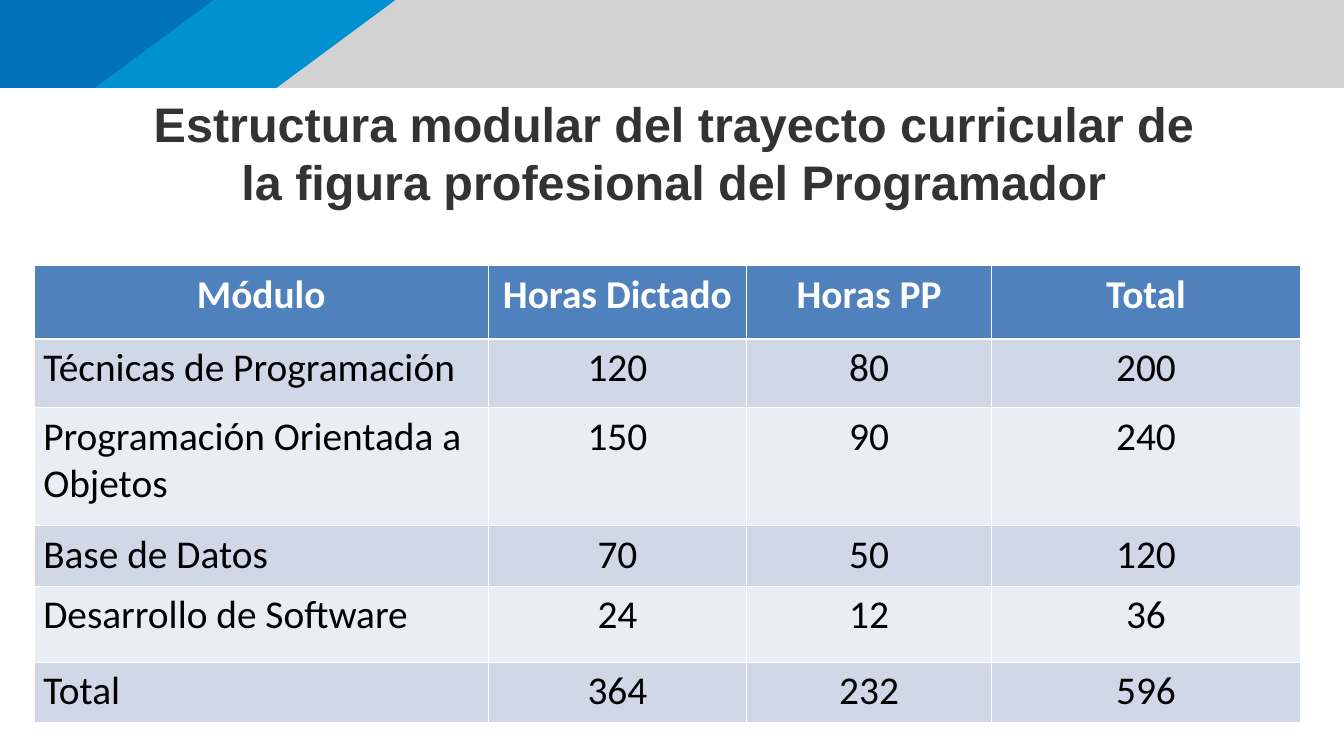
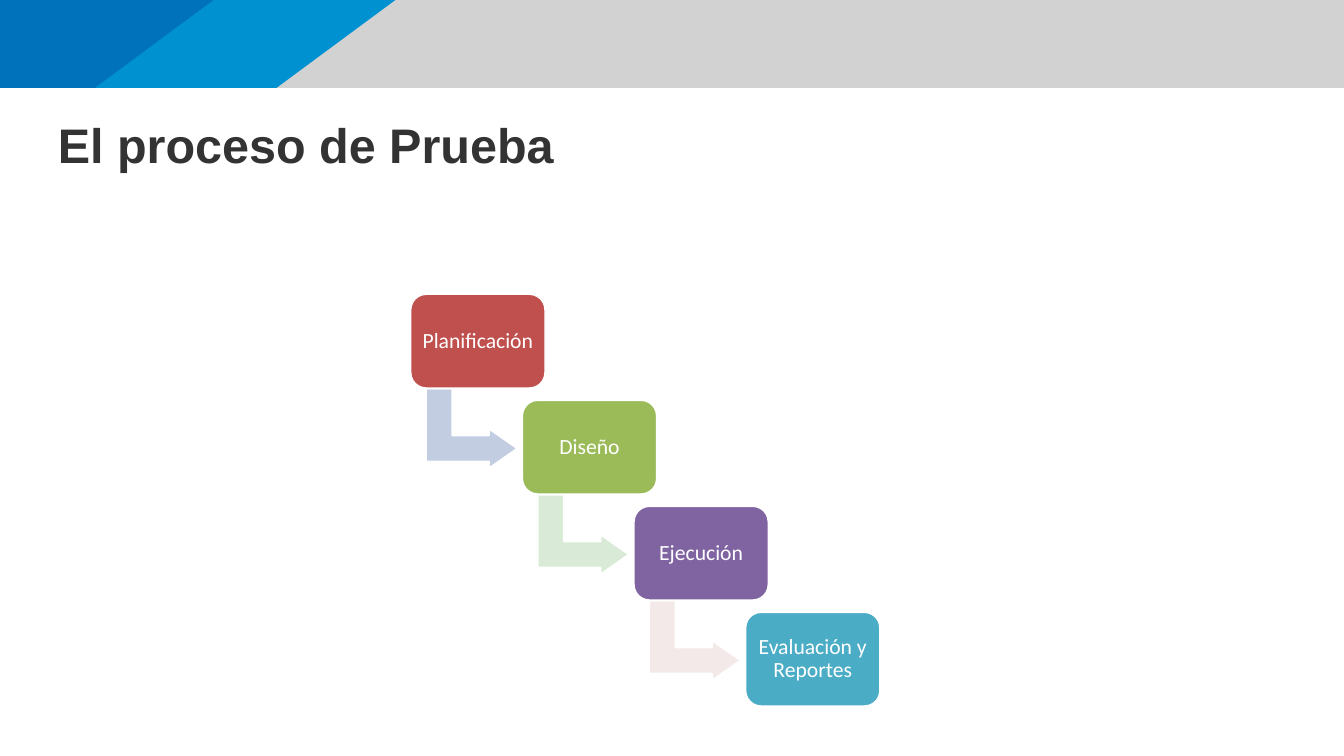
from lxml.etree import SubElement
from pptx import Presentation
from pptx.dml.color import RGBColor
from pptx.enum.shapes import MSO_SHAPE
from pptx.enum.text import MSO_ANCHOR, PP_ALIGN
from pptx.oxml.ns import qn
from pptx.util import Cm, Pt

SLIDE_WIDTH, SLIDE_HEIGHT = 48.16, 27.1
BAND_HEIGHT = 3.15
TITLE_FONT, BODY_FONT = "Arial", "Calibri"

WHITE = RGBColor(0xFF, 0xFF, 0xFF)
BLACK = RGBColor(0, 0, 0)
TITLE_GRAY = RGBColor(0x33, 0x33, 0x33)
BAND_GRAY = RGBColor(0xD2, 0xD2, 0xD3)
LIGHT_BLUE = RGBColor(0x00, 0x91, 0xD1)
DARK_BLUE = RGBColor(0x00, 0x71, 0xBB)
HEADER_BLUE = RGBColor(0x4F, 0x81, 0xBD)
ROW_DARK = RGBColor(0xD0, 0xD8, 0xE8)
ROW_LIGHT = RGBColor(0xE9, 0xED, 0xF4)
RED = RGBColor(0xC0, 0x50, 0x4D)
GREEN = RGBColor(0x9B, 0xBB, 0x59)
PURPLE = RGBColor(0x80, 0x64, 0xA2)
TEAL = RGBColor(0x4B, 0xAC, 0xC6)
PALE_BLUE = RGBColor(0xC2, 0xCD, 0xE1)
PALE_GREEN = RGBColor(0xD9, 0xEB, 0xD6)
PALE_RED = RGBColor(0xF4, 0xE9, 0xE9)

BAND_PIECES = [
    (SLIDE_WIDTH, SLIDE_WIDTH, BAND_GRAY),
    (14.17, 9.91, LIGHT_BLUE),
    (7.65, 3.4, DARK_BLUE),
]
MODULES = [
    ("Módulo", "Horas Dictado", "Horas PP", "Total"),
    ("Técnicas de Programación", "120", "80", "200"),
    ("Programación Orientada a Objetos", "150", "90", "240"),
    ("Base de Datos", "70", "50", "120"),
    ("Desarrollo de Software", "24", "12", "36"),
    ("Total", "364", "232", "596"),
]
COLUMN_WIDTHS = [16.28, 9.25, 8.79, 11.05]
ROW_HEIGHTS = [2.62, 2.46, 4.24, 2.16, 2.72, 2.16]
STEPS = [
    ("Planificación", RED, PALE_BLUE),
    ("Diseño", GREEN, PALE_GREEN),
    ("Ejecución", PURPLE, PALE_RED),
    ("Evaluación y Reportes", TEAL, None),
]


def style_paragraph(para, font_name, size, color, bold=False, align=PP_ALIGN.CENTER):
    para.alignment = align
    for span in para.runs:
        span.font.name = font_name
        span.font.size = Pt(size)
        span.font.bold = bold
        span.font.color.rgb = color


def set_margins(target, horizontal, vertical):
    target.margin_left = target.margin_right = Cm(horizontal)
    target.margin_top = target.margin_bottom = Cm(vertical)


def paint(shape, fill, line_width=None):
    shape.shadow.inherit = False
    shape.fill.solid()
    shape.fill.fore_color.rgb = fill
    if line_width is None:
        shape.line.fill.background()
    else:
        shape.line.color.rgb = WHITE
        shape.line.width = Pt(line_width)


def add_band(page):
    for top_right, bottom_right, color in BAND_PIECES:
        builder = page.shapes.build_freeform(Cm(0), Cm(0))
        builder.add_line_segments([
            (Cm(top_right), Cm(0)),
            (Cm(bottom_right), Cm(BAND_HEIGHT)),
            (Cm(0), Cm(BAND_HEIGHT)),
        ], close=True)
        paint(builder.convert_to_shape(), color)


def add_title(page, text, left, top, width, height):
    box = page.shapes.add_textbox(Cm(left), Cm(top), Cm(width), Cm(height))
    frame = box.text_frame
    frame.word_wrap = True
    set_margins(frame, 0, 0)
    frame.text = text
    style_paragraph(frame.paragraphs[0], TITLE_FONT, 49.3, TITLE_GRAY, bold=True)


def add_page(deck, title, title_box):
    page = deck.slides.add_slide(deck.slide_layouts[6])
    add_band(page)
    add_title(page, title, *title_box)
    return page


def set_borders(cell, top, bottom):
    properties = cell._tc.get_or_add_tcPr()
    edges = [("a:lnL", 1), ("a:lnR", 1), ("a:lnT", top), ("a:lnB", bottom)]
    for position, (tag, width) in enumerate(edges):
        line = SubElement(properties, qn(tag), w=str(Pt(width)))
        fill = SubElement(line, qn("a:solidFill"))
        SubElement(fill, qn("a:srgbClr"), val=str(WHITE))
        properties.insert(position, line)


def add_module_table(page, left, top):
    table = page.shapes.add_table(
        len(MODULES), len(COLUMN_WIDTHS), Cm(left), Cm(top),
        Cm(sum(COLUMN_WIDTHS)), Cm(sum(ROW_HEIGHTS))).table
    for column, width in zip(table.columns, COLUMN_WIDTHS):
        column.width = Cm(width)
    for row_index, values in enumerate(MODULES):
        table.rows[row_index].height = Cm(ROW_HEIGHTS[row_index])
        is_header = row_index == 0
        fill = HEADER_BLUE if is_header else (ROW_LIGHT, ROW_DARK)[row_index % 2]
        for column_index, value in enumerate(values):
            cell = table.cell(row_index, column_index)
            cell.text = value
            set_margins(cell, 0.33, 0.18)
            cell.fill.solid()
            cell.fill.fore_color.rgb = fill
            set_borders(cell, 3 if row_index == 1 else 1, 3 if is_header else 1)
            is_name = column_index == 0 and not is_header
            style_paragraph(
                cell.text_frame.paragraphs[0], BODY_FONT, 40,
                WHITE if is_header else BLACK, is_header,
                PP_ALIGN.LEFT if is_name else PP_ALIGN.CENTER)


def add_step_arrow(page, left, top, color):
    arrow = page.shapes.add_shape(
        MSO_SHAPE.BENT_UP_ARROW, Cm(left), Cm(top), Cm(2.87), Cm(3.28))
    arrow.rotation = 90
    for position, value in enumerate((0.328, 0.25, 0.358)):
        arrow.adjustments[position] = value
    paint(arrow, color, 2)


def add_step_box(page, left, top, text, color):
    box = page.shapes.add_shape(
        MSO_SHAPE.ROUNDED_RECTANGLE, Cm(left), Cm(top), Cm(4.83), Cm(3.38))
    box.adjustments[0] = 0.167
    paint(box, color, 2)
    frame = box.text_frame
    frame.word_wrap = True
    frame.vertical_anchor = MSO_ANCHOR.MIDDLE
    set_margins(frame, 0.23, 0.23)
    frame.text = text
    para = frame.paragraphs[0]
    para.line_spacing = 0.9
    style_paragraph(para, BODY_FONT, 22, WHITE)


def add_staircase(page, left, top):
    for index, (text, color, arrow_color) in enumerate(STEPS):
        step_left, step_top = left + index * 4, top + index * 3.8
        if arrow_color is not None:
            add_step_arrow(page, step_left + 0.76, step_top + 3.18, arrow_color)
        add_step_box(page, step_left, step_top, text, color)


def main():
    deck = Presentation()
    deck.slide_width, deck.slide_height = Cm(SLIDE_WIDTH), Cm(SLIDE_HEIGHT)

    modules_page = add_page(
        deck,
        "Estructura modular del trayecto curricular de la figura profesional del Programador",
        (5.26, 3.38, 37.82, 4.22))
    add_module_table(modules_page, 1.22, 9.53)

    process_page = add_page(deck, "El proceso de Prueba", (-3, 4.11, 27.94, 6.32))
    add_staircase(process_page, 14.71, 10.54)

    deck.save("out.pptx")


if __name__ == "__main__":
    main()
